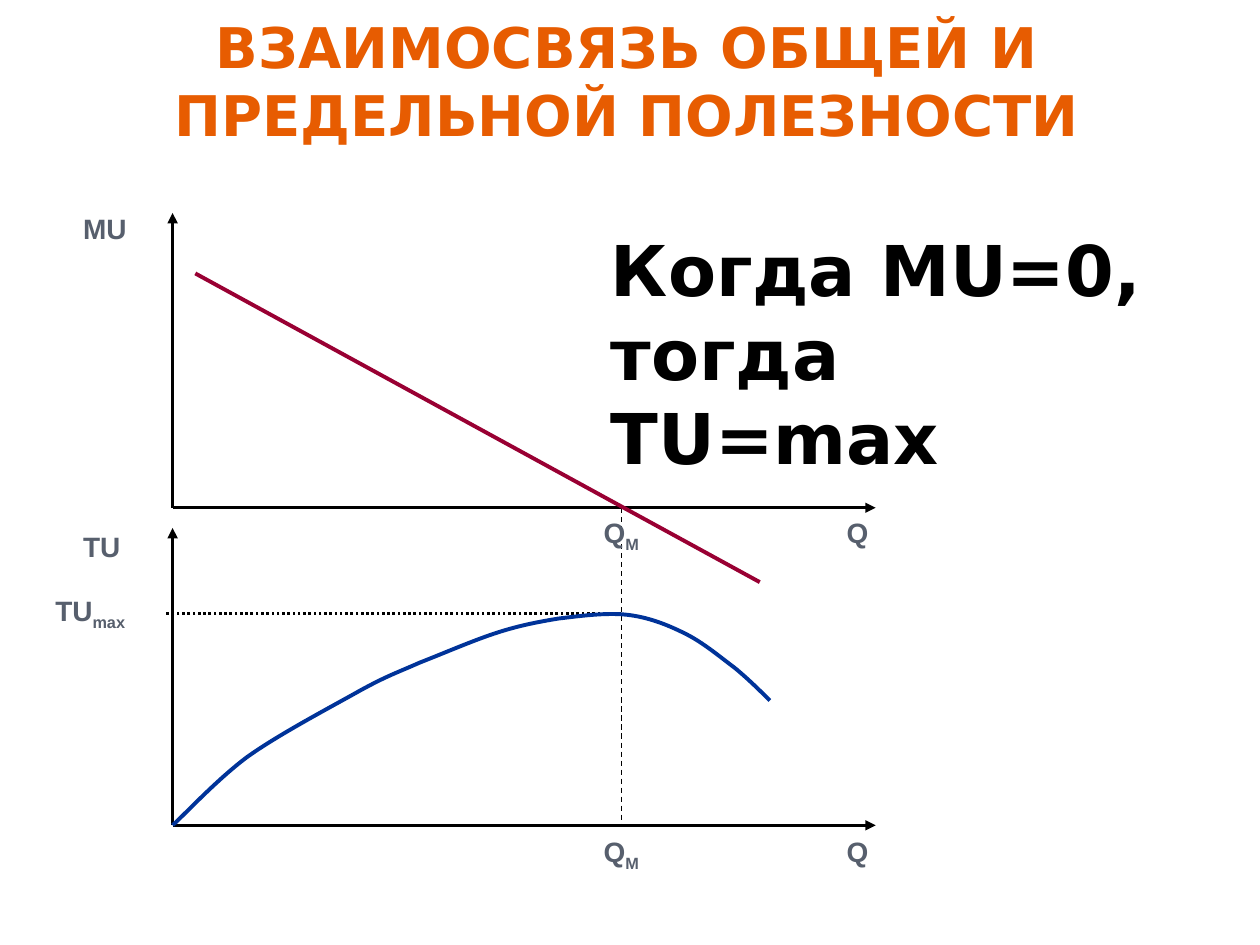
from typing import NamedTuple, Optional

from lxml.etree import SubElement
from pptx import Presentation
from pptx.dml.color import RGBColor
from pptx.enum.dml import MSO_LINE_DASH_STYLE as Dash
from pptx.enum.text import MSO_ANCHOR as Anchor, MSO_AUTO_SIZE as AutoSize, PP_ALIGN as Align
from pptx.oxml.ns import qn
from pptx.util import Pt

PX = 9144
BLACK = "000000"
ORIGIN_X, AXIS_END_X, MAX_X = 137, 695, 493
MU_AXIS_Y, TU_AXIS_Y = 403, 655
Point = tuple[int, int]


class Line(NamedTuple):
    start: Point
    end: Point
    width: float = 1.5
    dash: Optional[Dash] = None
    arrow: bool = False


class Label(NamedTuple):
    text: str
    left: int
    top: int
    width: int
    subscript: str = ""


class Bend(NamedTuple):
    control_in: Point
    control_out: Point
    end: Point


AXES = [
    Line((ORIGIN_X, axis_y), end, arrow=True)
    for axis_y, top in ((MU_AXIS_Y, 169), (TU_AXIS_Y, 419))
    for end in ((ORIGIN_X, top), (AXIS_END_X, axis_y))
]
GUIDES = [
    Line((MAX_X, MU_AXIS_Y), (MAX_X, TU_AXIS_Y), 0.75, Dash.DASH),
    Line((MAX_X, 487), (132, 487), 1.5, Dash.ROUND_DOT),
]
LABELS = [
    Label("МU", 64, 167, 71),
    Label("ТU", 64, 419, 73),
    Label("ТU", 42, 470, 103, "max"),
]
for label_top in (408, 661):
    LABELS += [Label("Q", 670, label_top, 49), Label("Q", 477, label_top, 48, "M")]

TU_BENDS = [
    Bend((147, 646), (172, 619), (196, 601)),
    Bend((221, 583), (263, 561), (286, 548)),
    Bend((308, 536), (315, 534), (333, 526)),
    Bend((351, 519), (374, 509), (392, 503)),
    Bend((410, 497), (425, 494), (443, 491)),
    Bend((460, 489), (481, 486), (498, 488)),
    Bend((515, 490), (530, 496), (544, 503)),
    Bend((558, 510), (571, 521), (583, 530)),
    Bend((594, 539), (605, 550), (611, 556)),
]


def rgb(color: str) -> RGBColor:
    return RGBColor.from_string(color)


def set_font(paragraph, name: str, size: int, color: str) -> None:
    font = paragraph.font
    font.name, font.size, font.bold = name, Pt(size), True
    font.color.rgb = rgb(color)


def place(shape, left: int, top: int, width: int, height: int) -> None:
    shape.left, shape.top = left * PX, top * PX
    shape.width, shape.height = width * PX, height * PX


def draw_line(slide, line: Line) -> None:
    ends = [value * PX for value in line.start + line.end]
    connector = slide.shapes.add_connector(1, *ends)
    connector.line.color.rgb = rgb(BLACK)
    connector.line.width = Pt(line.width)
    if line.dash:
        connector.line.dash_style = line.dash
    properties = connector._element.spPr
    if line.arrow:
        SubElement(properties.find(qn("a:ln")), qn("a:tailEnd"), type="triangle")
    SubElement(properties, qn("a:effectLst"))


def draw_curve(slide, start: Point, ends: list[Point], color: str):
    builder = slide.shapes.build_freeform(*start, scale=PX)
    builder.add_line_segments(ends, close=False)
    curve = builder.convert_to_shape()
    curve.shadow.inherit = False
    curve.fill.background()
    curve.line.color.rgb = rgb(color)
    curve.line.width = Pt(2.25)
    return curve


def round_curve(curve, start: Point, bends: list[Bend]) -> None:
    left = min(start[0], *(bend.end[0] for bend in bends))
    top = min(start[1], *(bend.end[1] for bend in bends))
    segments = list(curve._element.iter(qn("a:lnTo")))
    for segment, bend in zip(segments, bends):
        segment.tag = qn("a:cubicBezTo")
        segment.clear()
        for x, y in bend:
            SubElement(segment, qn("a:pt"), x=str(x - left), y=str(y - top))


def draw_label(slide, label: Label) -> None:
    box = slide.shapes.add_textbox(0, 0, 0, 0)
    place(box, label.left, label.top, label.width, 34)
    frame = box.text_frame
    frame.word_wrap = True
    frame.margin_left = frame.margin_right = 2 * PX
    frame.margin_top = frame.margin_bottom = PX
    paragraph = frame.paragraphs[0]
    set_font(paragraph, "Arial", 16, "575F6D")
    paragraph.add_run().text = label.text
    if label.subscript:
        subscript = paragraph.add_run()
        subscript.text = label.subscript
        subscript.font._element.set("baseline", "-25000")


def draw_title(slide) -> None:
    title = slide.shapes.title
    place(title, 25, 67, 945, 55)
    frame = title.text_frame
    frame.text = "ВЗАИМОСВЯЗЬ ОБЩЕЙ И ПРЕДЕЛЬНОЙ ПОЛЕЗНОСТИ"
    frame.auto_size = AutoSize.NONE
    frame.vertical_anchor = Anchor.BOTTOM
    heading = frame.paragraphs[0]
    heading.alignment = Align.CENTER
    set_font(heading, "DejaVu Sans", 32, "E75C01")


def draw_rule(slide) -> None:
    rule = slide.shapes.add_textbox(0, 0, 0, 0)
    place(rule, 475, 175, 475, 145)
    frame = rule.text_frame
    frame.word_wrap = True
    frame.text = "Когда MU=0,\nтогда TU=max"
    for paragraph in frame.paragraphs:
        set_font(paragraph, "DejaVu Sans", 40, BLACK)


def main() -> None:
    deck = Presentation()
    deck.slide_width, deck.slide_height = 1000 * PX, 750 * PX
    slide = deck.slides.add_slide(deck.slide_layouts[5])
    draw_title(slide)
    for line in AXES + GUIDES:
        draw_line(slide, line)
    draw_curve(slide, (155, 217), [(603, 462)], "990033")
    origin = (ORIGIN_X, TU_AXIS_Y)
    total_utility = draw_curve(slide, origin, [bend.end for bend in TU_BENDS], "003399")
    round_curve(total_utility, origin, TU_BENDS)
    for label in LABELS:
        draw_label(slide, label)
    draw_rule(slide)
    deck.save("out.pptx")


if __name__ == "__main__":
    main()
